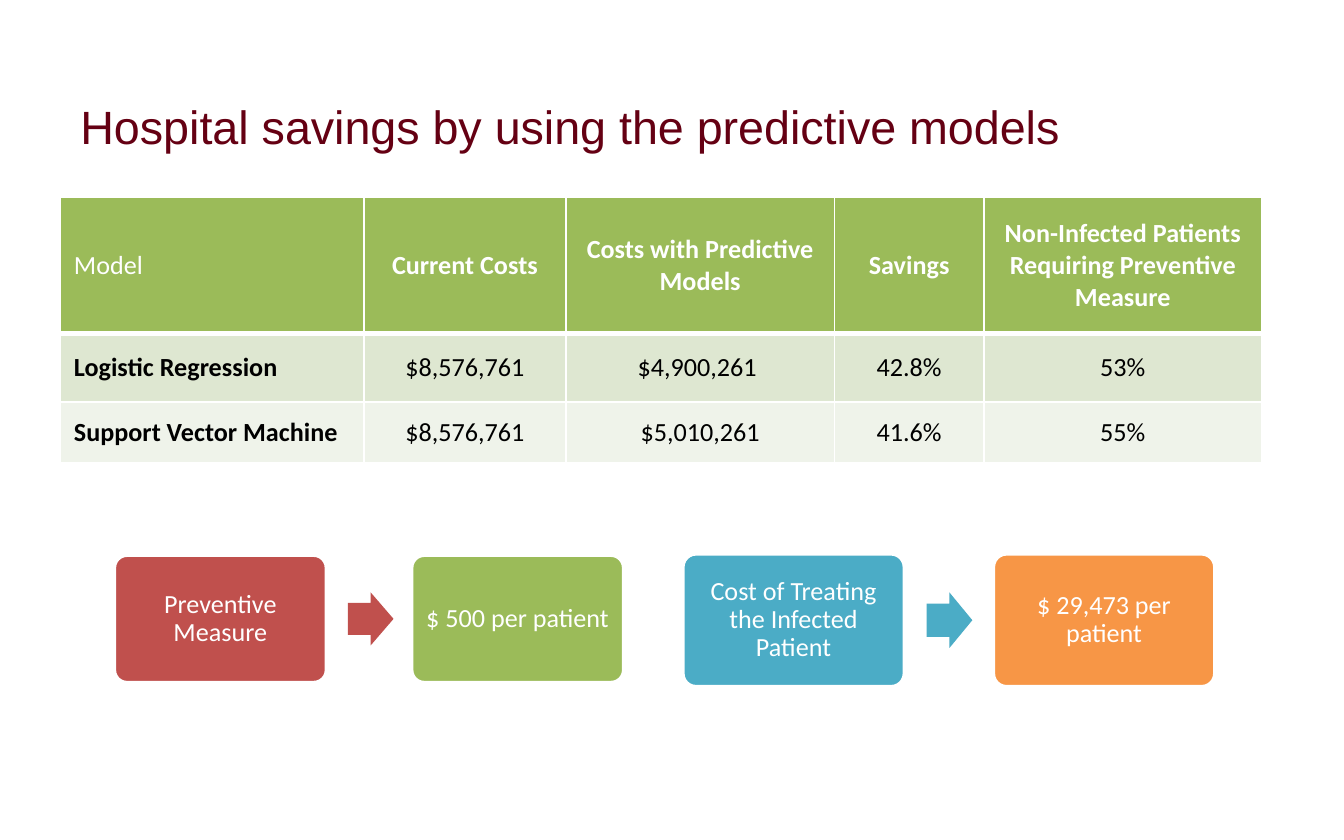
from lxml.etree import SubElement
from pptx import Presentation
from pptx.dml.color import RGBColor
from pptx.enum.shapes import MSO_SHAPE
from pptx.enum.text import MSO_ANCHOR, PP_ALIGN
from pptx.oxml.ns import qn
from pptx.util import Inches, Pt

WHITE = RGBColor(0xFF, 0xFF, 0xFF)
BLACK = RGBColor(0x00, 0x00, 0x00)
MAROON = RGBColor(0x65, 0x00, 0x13)
RED = RGBColor(0xC0, 0x50, 0x4D)
GREEN = RGBColor(0x9B, 0xBB, 0x59)
TEAL = RGBColor(0x4B, 0xAC, 0xC6)
ORANGE = RGBColor(0xF7, 0x96, 0x46)
ROW_FILLS = [GREEN, RGBColor(0xDE, 0xE7, 0xD1), RGBColor(0xEF, 0xF3, 0xEA)]

COLUMN_WIDTHS = [2.26, 1.5, 2, 1.11, 2.07]
ROW_HEIGHTS = [1.01, 0.51, 0.45]
SAVINGS_ROWS = [
    ["Model", "Current Costs", "Costs with Predictive Models", "Savings",
     "Non-Infected Patients Requiring Preventive Measure"],
    ["Logistic Regression", "$8,576,761", "$4,900,261 ", "42.8%", "53%"],
    ["Support Vector Machine", "$8,576,761", "$5,010,261", "41.6%", "55%"],
]
COST_FLOWS = [
    (0.85, 4.13, 1.58, 0.95, "Preventive Measure", RED, "$ 500 per patient", GREEN),
    (5.08, 4.12, 1.65, 0.99, "Cost of Treating the Infected Patient", TEAL,
     "$ 29,473 per patient", ORANGE),
]


class SlideBuilder:
    """Holds the text style and the current slide, and adds elements to it."""

    def __init__(self, slide):
        self.slide = slide
        self.body_format = {"name": "Calibri", "size": Pt(14), "bold": False}
        self.title_format = {"name": "Arial", "size": Pt(25), "bold": False}

    def add_text(self, text_frame, text, color, font_format, alignment=PP_ALIGN.CENTER):
        text_frame.word_wrap = True
        text_frame.vertical_anchor = MSO_ANCHOR.MIDDLE
        paragraph = text_frame.paragraphs[0]
        paragraph.alignment = alignment
        run = paragraph.add_run()
        run.text = text
        for name, value in font_format.items():
            setattr(run.font, name, value)
        run.font.color.rgb = color
        return paragraph

    def add_title(self, text, *box):
        shape = self.slide.shapes.add_textbox(*map(Inches, box))
        self.add_text(shape.text_frame, text, MAROON, self.title_format, PP_ALIGN.LEFT)

    def add_borders(self, cell, row_index):
        properties = cell._tc.get_or_add_tcPr()
        widths = {"a:lnL": 1, "a:lnR": 1, "a:lnT": 3 if row_index == 1 else 1,
                  "a:lnB": 3 if row_index == 0 else 1}
        for tag, width in widths.items():
            line = SubElement(properties, qn(tag), w=str(Pt(width)))
            fill = SubElement(line, qn("a:solidFill"))
            SubElement(fill, qn("a:srgbClr"), val=str(WHITE))

    def add_table(self, rows, left, top):
        size = Inches(sum(COLUMN_WIDTHS)), Inches(sum(ROW_HEIGHTS))
        table = self.slide.shapes.add_table(
            len(rows), len(COLUMN_WIDTHS), Inches(left), Inches(top), *size).table
        for column, width in zip(table.columns, COLUMN_WIDTHS):
            column.width = Inches(width)
        for row_index, texts in enumerate(rows):
            table.rows[row_index].height = Inches(ROW_HEIGHTS[row_index])
            for column_index, text in enumerate(texts):
                cell = table.cell(row_index, column_index)
                self.add_borders(cell, row_index)
                cell.fill.solid()
                cell.fill.fore_color.rgb = ROW_FILLS[row_index]
                cell.vertical_anchor = MSO_ANCHOR.MIDDLE
                is_header, is_label = row_index == 0, column_index == 0
                self.add_text(cell.text_frame, text, WHITE if is_header else BLACK,
                              {**self.body_format, "bold": is_header != is_label},
                              PP_ALIGN.LEFT if is_label else PP_ALIGN.CENTER)

    def add_shape(self, preset, box, color, adjustments):
        shape = self.slide.shapes.add_shape(preset, *map(Inches, box))
        shape.shadow.inherit = False
        shape.fill.solid()
        shape.fill.fore_color.rgb = color
        shape.line.fill.background()
        for index, value in enumerate(adjustments):
            shape.adjustments[index] = value
        return shape

    def add_card(self, box, text, color):
        shape = self.add_shape(MSO_SHAPE.ROUNDED_RECTANGLE, box, color, [0.1])
        shape.line.color.rgb = WHITE
        shape.line.width = Pt(2)
        for side in ("left", "top", "right", "bottom"):
            setattr(shape.text_frame, f"margin_{side}", Inches(0.06))
        paragraph = self.add_text(shape.text_frame, text, WHITE, self.body_format)
        paragraph.line_spacing = 0.9

    def add_flow(self, left, top, width, height, cause, cause_color, cost, cost_color):
        arrow_height = width / 4
        arrow_box = (left + width * 1.1, top + (height - arrow_height) / 2,
                     0.34, arrow_height)
        self.add_card((left, top, width, height), cause, cause_color)
        self.add_shape(MSO_SHAPE.RIGHT_ARROW, arrow_box, cause_color, [0.6, 0.5])
        self.add_card((left + width * 1.4, top, width, height), cost, cost_color)


def main():
    presentation = Presentation()
    presentation.slide_width = Inches(10)
    presentation.slide_height = Inches(6.25)
    builder = SlideBuilder(presentation.slides.add_slide(presentation.slide_layouts[6]))
    builder.add_title("Hospital savings by using the predictive models", 0.5, 0.46, 9, 0.95)
    builder.add_table(SAVINGS_ROWS, 0.45, 1.47)
    for flow in COST_FLOWS:
        builder.add_flow(*flow)
    presentation.save("out.pptx")


if __name__ == "__main__":
    main()
